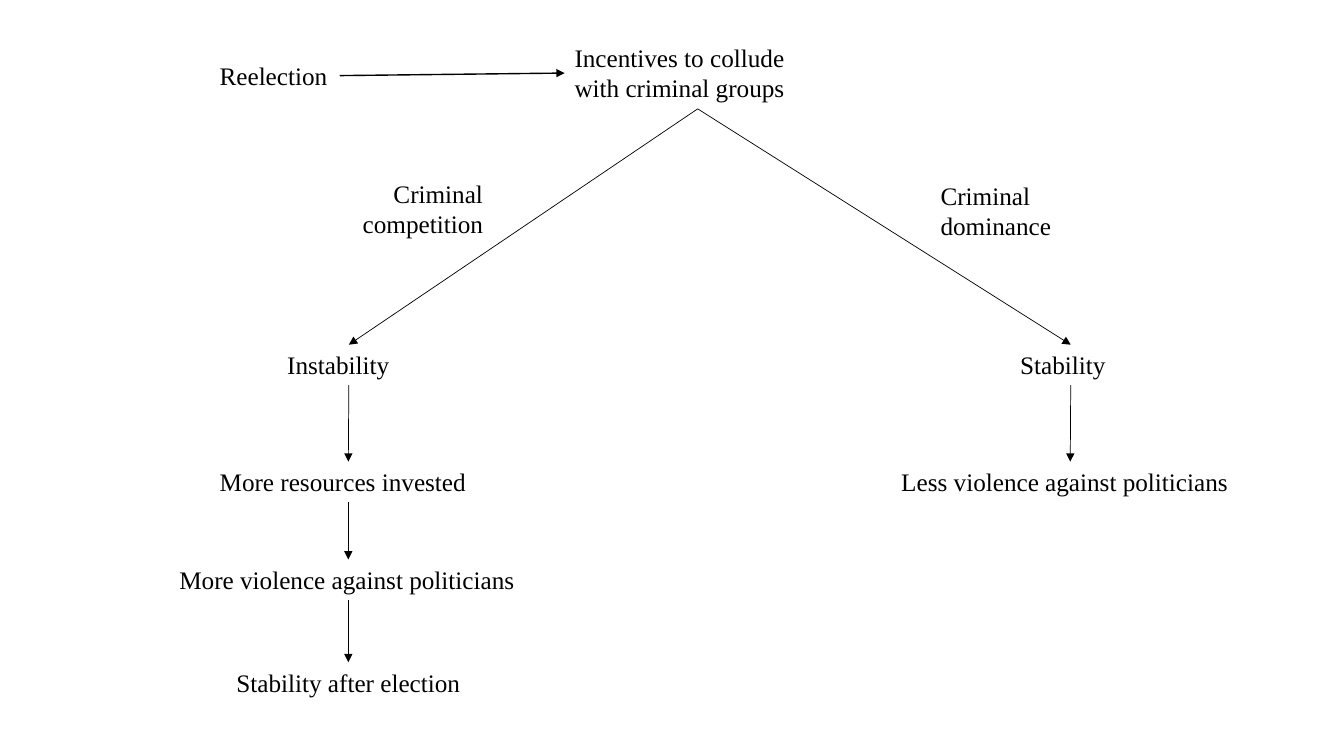
from lxml.etree import SubElement
from pptx import Presentation
from pptx.dml.color import RGBColor
from pptx.enum.shapes import MSO_CONNECTOR
from pptx.enum.text import MSO_AUTO_SIZE, PP_ALIGN
from pptx.oxml.ns import qn
from pptx.util import Inches, Pt

BLACK = RGBColor(0x00, 0x00, 0x00)
TOP, LEFT, BOTTOM, RIGHT = range(4)
ONE_LINE, TWO_LINES = 0.4, 0.71


class Diagram:
    font_name = "Times New Roman"
    font_size = Pt(18)

    def __init__(self, slide):
        self.slide = slide

    def label(self, text, left, top, width, height=ONE_LINE, align=PP_ALIGN.LEFT):
        box = self.slide.shapes.add_textbox(
            Inches(left), Inches(top), Inches(width), Inches(height))
        frame = box.text_frame
        frame.word_wrap = True
        frame.auto_size = MSO_AUTO_SIZE.SHAPE_TO_FIT_TEXT
        para = frame.paragraphs[0]
        para.alignment = align
        span = para.add_run()
        span.text = text
        span.font.name = self.font_name
        span.font.size = self.font_size
        span.font.color.rgb = BLACK
        return box

    def arrow(self, source, target, source_side=BOTTOM, target_side=TOP, weight=0.5):
        connector = self.slide.shapes.add_connector(MSO_CONNECTOR.STRAIGHT, 0, 0, 0, 0)
        connector.begin_connect(source, source_side)
        connector.end_connect(target, target_side)
        connector.line.color.rgb = BLACK
        connector.line.width = Pt(weight)
        SubElement(connector.line._get_or_add_ln(), qn("a:tailEnd"), type="triangle")
        SubElement(connector._element.spPr, qn("a:effectLst"))
        return connector


def main():
    deck = Presentation()
    deck.slide_width, deck.slide_height = Inches(13.33), Inches(7.5)
    page = deck.slides.add_slide(deck.slide_layouts[6])
    diagram = Diagram(page)

    # Cause at the top
    reelection = diagram.label("Reelection", 2.08, 0.55, 1.29)
    incentives = diagram.label(
        "Incentives to collude with criminal groups", 5.6, 0.37, 2.64, TWO_LINES)
    diagram.arrow(reelection, incentives, RIGHT, LEFT, weight=1)

    # Conditions beside the two branches
    diagram.label("Criminal competition", 2.86, 1.72, 2.03, TWO_LINES, PP_ALIGN.RIGHT)
    diagram.label("Criminal dominance", 9.23, 1.74, 1.58, TWO_LINES)

    # Outcomes under competition
    instability = diagram.label("Instability", 2.75, 3.42, 1.42)
    resources = diagram.label("More resources invested", 2.08, 4.58, 2.75)
    violence = diagram.label("More violence against politicians", 1.68, 5.55, 3.55)
    after_election = diagram.label(
        "Stability after election", 1.68, 6.57, 3.55, align=PP_ALIGN.CENTER)

    # Outcomes under dominance
    stability = diagram.label("Stability", 10.02, 3.42, 1.2)
    less_violence = diagram.label("Less violence against politicians", 8.84, 4.58, 3.55)

    # Arrows down each branch
    branches = (
        (incentives, instability, resources, violence, after_election),
        (incentives, stability, less_violence),
    )
    for branch in branches:
        for source, target in zip(branch, branch[1:]):
            diagram.arrow(source, target)

    deck.save("out.pptx")


if __name__ == "__main__":
    main()
